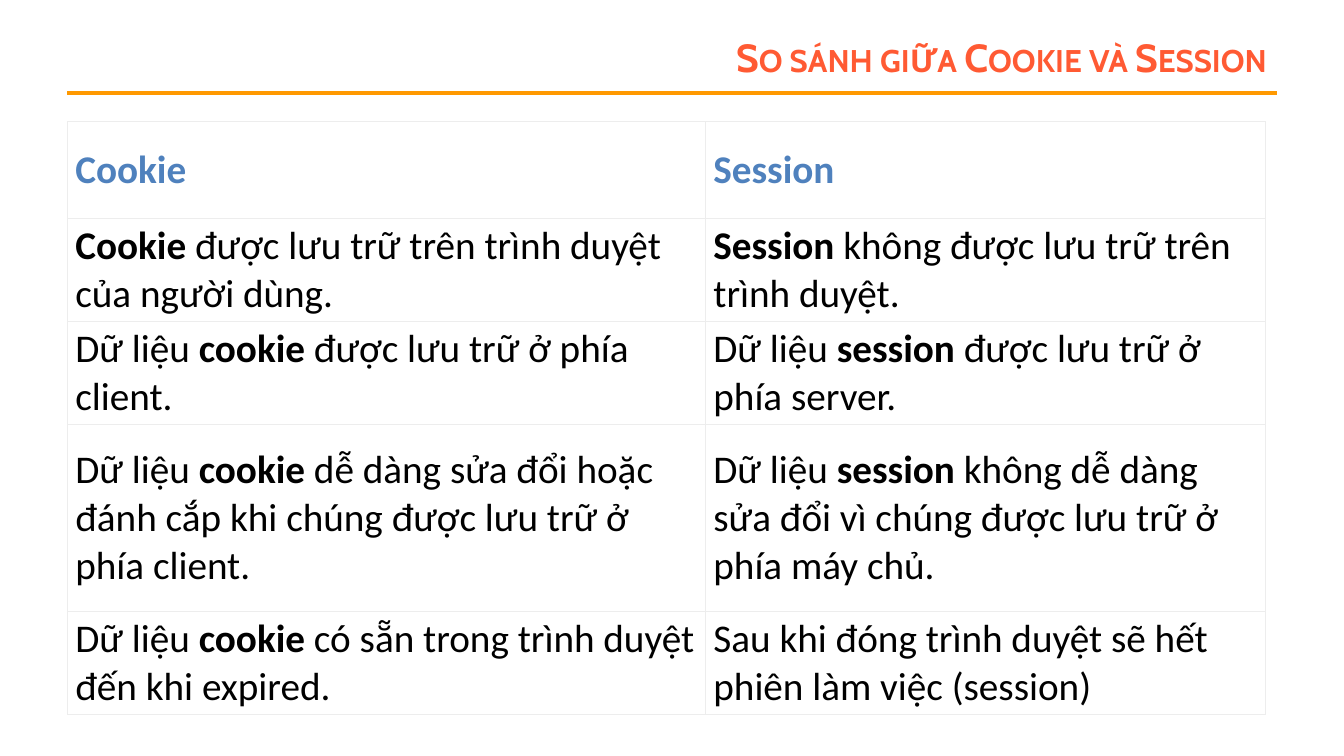
from pptx import Presentation
from pptx.dml.color import RGBColor
from pptx.enum.shapes import MSO_CONNECTOR
from pptx.enum.text import MSO_ANCHOR, PP_ALIGN
from pptx.oxml.ns import qn
from pptx.util import Cm, Pt
from lxml import etree

STRAIGHT = MSO_CONNECTOR.STRAIGHT
MIDDLE = MSO_ANCHOR.MIDDLE
RIGHT = PP_ALIGN.RIGHT

WHITE = RGBColor(0xFF, 0xFF, 0xFF)
BLACK = RGBColor(0x00, 0x00, 0x00)
BLUE = RGBColor(0x4F, 0x81, 0xBD)
CORAL = RGBColor(0xFF, 0x5A, 0x33)
ORANGE = RGBColor(0xFF, 0x99, 0x00)
GREY = RGBColor(0xED, 0xED, 0xED)

LEFT_EDGE = 1.7
COLUMN_WIDTHS = [16.08, 14.12]
ROW_HEIGHTS = [2.44, 2.59, 2.59, 4.72, 2.59]

# Asterisks enclose bold words.
COMPARISON = [
    ("*Cookie*", "*Session*"),
    ("*Cookie* được lưu trữ trên trình duyệt của người dùng.",
     "*Session* không được lưu trữ trên trình duyệt."),
    ("Dữ liệu *cookie* được lưu trữ ở phía client.",
     "Dữ liệu *session* được lưu trữ ở phía server."),
    ("Dữ liệu *cookie* dễ dàng sửa đổi hoặc đánh cắp khi chúng được lưu trữ ở phía client.",
     "Dữ liệu *session* không dễ dàng sửa đổi vì chúng được lưu trữ ở phía máy chủ."),
    ("Dữ liệu *cookie* có sẵn trong trình duyệt đến khi expired.",
     "Sau khi đóng trình duyệt sẽ hết phiên làm việc (session)"),
]


class SlideBuilder:
    title_font = "Cabin"
    body_font = "Calibri"
    text_size = Pt(28)

    def __init__(self, slide):
        self.slide = slide

    def add_text(self, para, marked_text, font_name, color):
        """Write the text as runs, with the parts between asterisks in bold."""
        for index, part in enumerate(marked_text.split("*")):
            if part:
                span = para.add_run()
                span.text = part
                span.font.name = font_name
                span.font.size = self.text_size
                span.font.bold = index % 2 == 1
                span.font.color.rgb = color

    def add_title(self, text, left, top, width, height):
        box = self.slide.shapes.add_textbox(Cm(left), Cm(top), Cm(width), Cm(height))
        frame = box.text_frame
        frame.word_wrap = True
        frame.vertical_anchor = MIDDLE
        para = frame.paragraphs[0]
        para.alignment = RIGHT
        self.add_text(para, f"*{text}*", self.title_font, CORAL)
        for span in para.runs:
            span.font._element.set("cap", "small")

    def add_rule(self, left, right, y):
        rule = self.slide.shapes.add_connector(STRAIGHT, Cm(left), Cm(y), Cm(right), Cm(y))
        rule.line.color.rgb = ORANGE
        rule.line.width = Pt(3)
        etree.SubElement(rule._element.spPr, qn("a:effectLst"))

    def add_borders(self, cell):
        properties = cell._tc.get_or_add_tcPr()
        for side in ("a:lnL", "a:lnR", "a:lnT", "a:lnB"):
            border = etree.SubElement(properties, qn(side), w=str(Pt(0.75)))
            fill = etree.SubElement(border, qn("a:solidFill"))
            etree.SubElement(fill, qn("a:srgbClr"), val=str(GREY))

    def add_table(self, rows, left, top, widths, heights):
        table = self.slide.shapes.add_table(
            len(rows), len(widths), Cm(left), Cm(top), Cm(sum(widths)), Cm(sum(heights))
        ).table
        for column, width in zip(table.columns, widths):
            column.width = Cm(width)
        for row, height in zip(table.rows, heights):
            row.height = Cm(height)
        for row_index, texts in enumerate(rows):
            color = BLACK if row_index else BLUE
            for column_index, text in enumerate(texts):
                self.fill_cell(table.cell(row_index, column_index), text, color)

    def fill_cell(self, cell, text, color):
        cell.margin_left = cell.margin_right = Cm(0.2)
        cell.margin_top = cell.margin_bottom = Cm(0.05)
        cell.vertical_anchor = MIDDLE
        self.add_borders(cell)
        cell.fill.solid()
        cell.fill.fore_color.rgb = WHITE
        self.add_text(cell.text_frame.paragraphs[0], text, self.body_font, color)


def main():
    deck = Presentation()
    deck.slide_width, deck.slide_height = Cm(33.87), Cm(19.05)
    page = SlideBuilder(deck.slides.add_slide(deck.slide_layouts[6]))
    page.add_rule(LEFT_EDGE, 32.18, 2.34)
    page.add_title("So sánh giữa Cookie và Session", 7.62, 0.76, 24.56, 1.35)
    page.add_table(COMPARISON, LEFT_EDGE, 3.07, COLUMN_WIDTHS, ROW_HEIGHTS)
    deck.save("out.pptx")


if __name__ == "__main__":
    main()
